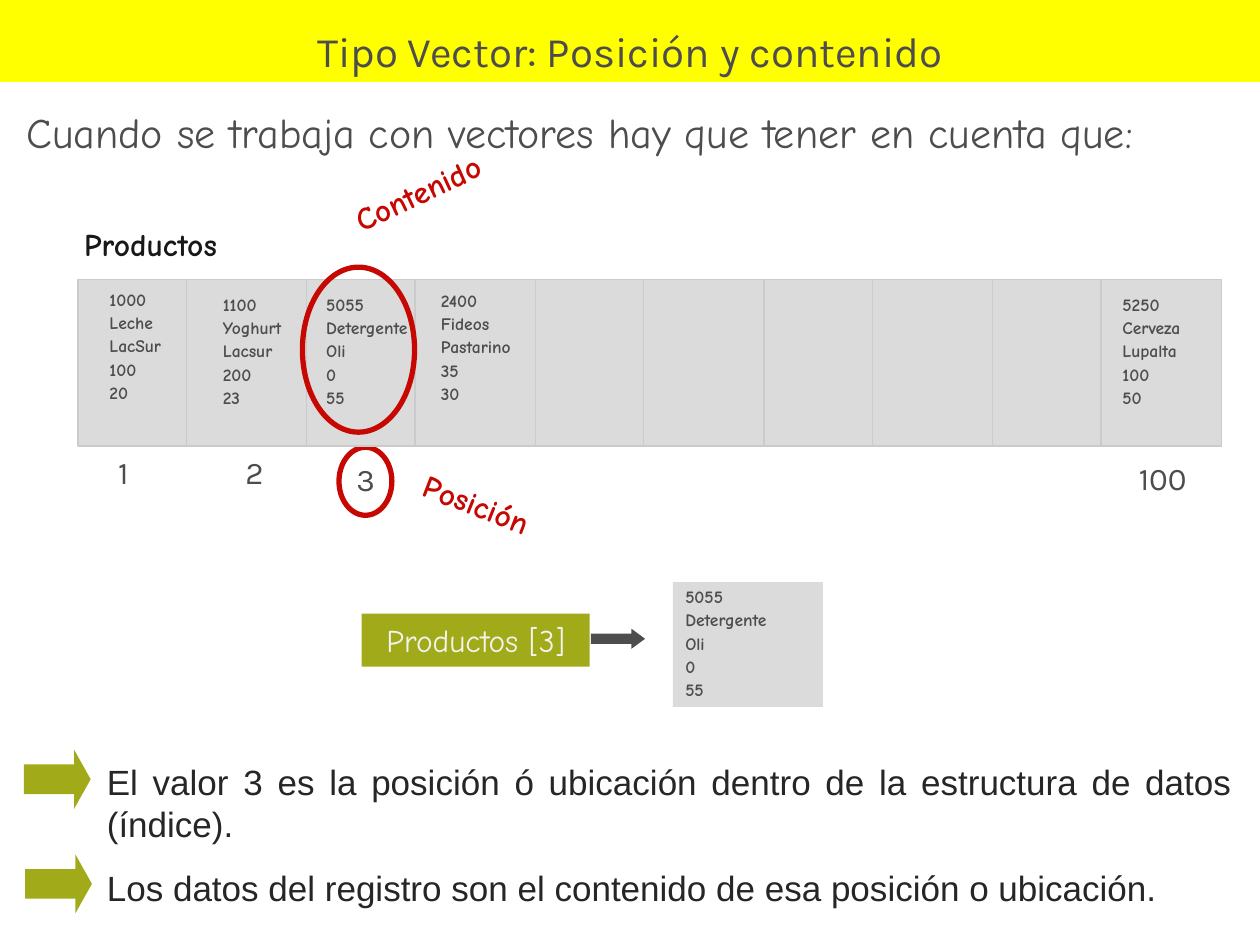
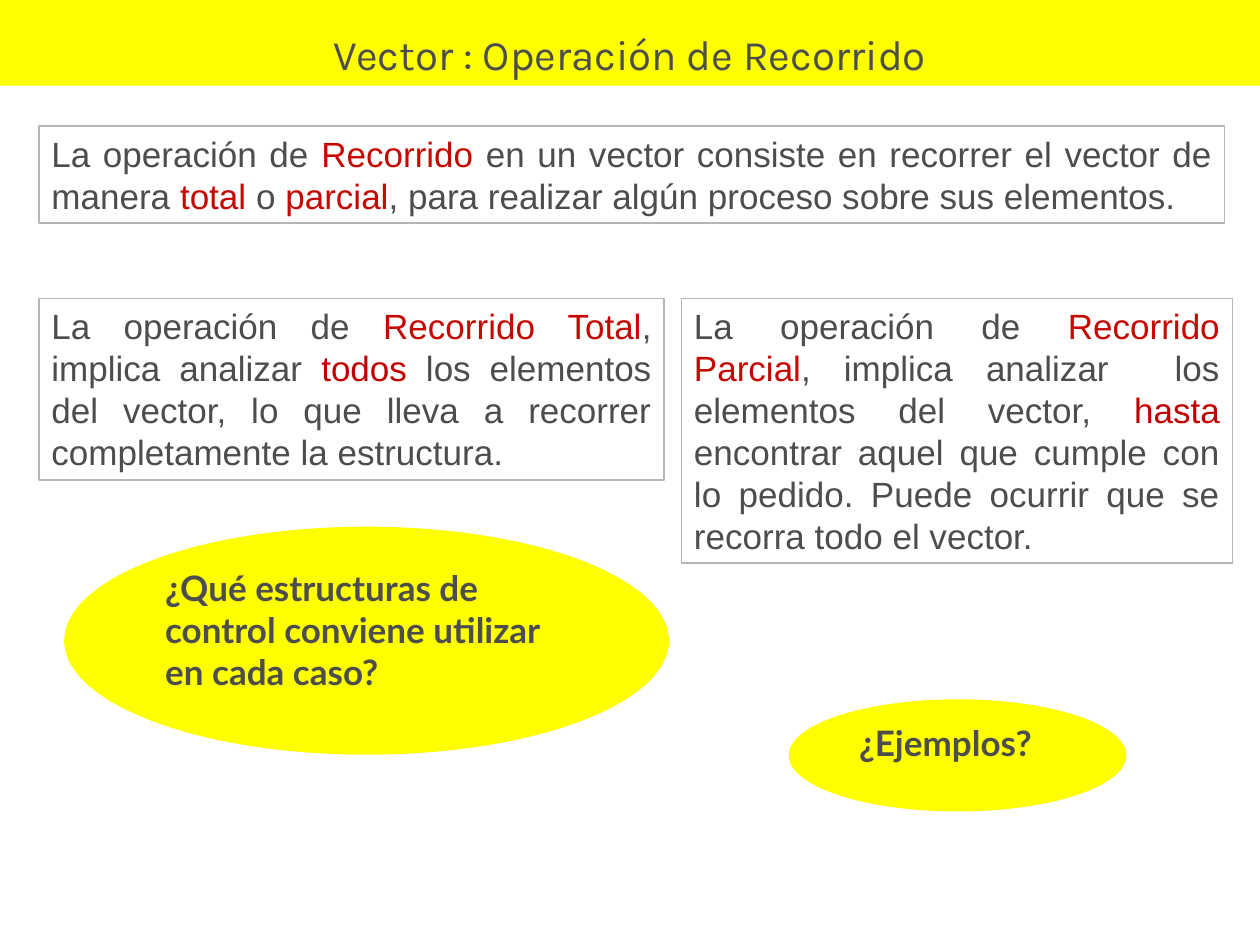
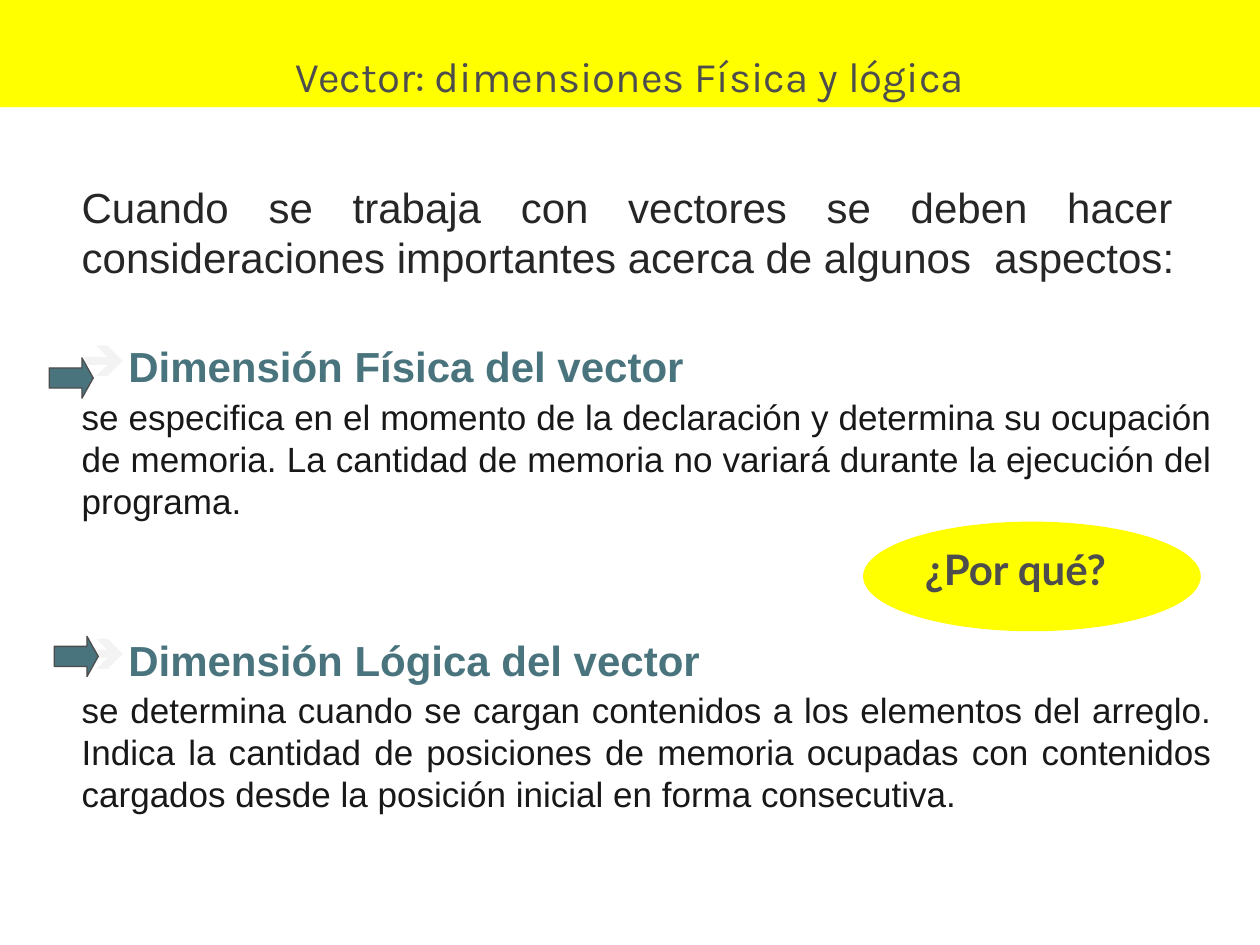
from pptx import Presentation
from pptx.dml.color import RGBColor
from pptx.enum.shapes import MSO_SHAPE
from pptx.enum.text import MSO_ANCHOR, MSO_AUTO_SIZE, PP_ALIGN
from pptx.oxml import parse_xml
from pptx.oxml.ns import nsdecls
from pptx.util import Inches, Pt

RECT, OVAL, ARROW = MSO_SHAPE.RECTANGLE, MSO_SHAPE.OVAL, MSO_SHAPE.RIGHT_ARROW
TOP, MIDDLE, BOTTOM = MSO_ANCHOR.TOP, MSO_ANCHOR.MIDDLE, MSO_ANCHOR.BOTTOM
LEFT, CENTER, JUST = PP_ALIGN.LEFT, PP_ALIGN.CENTER, PP_ALIGN.JUSTIFY
FIXED = MSO_AUTO_SIZE.NONE

YELLOW, GREEN, TEAL = "FFFF00", "A1AB19", "49747D"
GRAY, BLACK, DARK = "4D4D4D", "181818", "262626"
RED, WINE = "C60702", "C00000"
PALE, CELL, EDGE, FRAME = "F3F3F3", "DBDBDB", "CBCBCB", "B6B6B6"
HEAD, BODY, HAND, ASK = "Karla", "Arial", "Comic Neue", "Lato"


def color(code):
    """Turn a hex string into a colour."""
    return RGBColor.from_string(code)


class Deck:
    """Hold the presentation, its style and the current slide."""

    def __init__(self):
        """Start an empty deck of 10 by 7.5 inches."""
        self.prs = Presentation()
        self.prs.slide_width, self.prs.slide_height = Inches(10), Inches(7.5)

    def start(self, title, top, height):
        """Add a slide with its yellow title band."""
        self.slide = self.prs.slides.add_slide(self.prs.slide_layouts[5])
        band = self.slide.shapes.title
        band.left, band.top = Inches(0), Inches(top)
        band.width, band.height = Inches(10), Inches(height)
        band.fill.solid()
        band.fill.fore_color.rgb = color(YELLOW)
        self.frame(band, BOTTOM)
        self.para(band, title, HEAD, 24, align=CENTER)

    def frame(self, item, anchor=TOP, wrap=True):
        """Set how the text sits in an element."""
        box = item.text_frame
        box.auto_size, box.word_wrap = FIXED, wrap
        box.vertical_anchor = anchor

    def para(self, item, runs, font, size, ink=GRAY, bold=False,
             align=LEFT, before=0, lines=1.0):
        """Add a paragraph from a string or from (text, colour) runs."""
        box = item.text_frame
        par = box.paragraphs[0] if not box.text else box.add_paragraph()
        par.alignment, par.line_spacing = align, lines
        par.space_before = Pt(before)
        for text, tint in [(runs, ink)] if isinstance(runs, str) else runs:
            run = par.add_run()
            run.text = text
            run.font.name, run.font.size = font, Pt(size)
            run.font.bold = bold
            run.font.color.rgb = color(tint)
        return par

    def bullet(self, par, sign, ink, indent):
        """Give a paragraph a coloured bullet sign."""
        props = par._p.get_or_add_pPr()
        props.set("marL", str(Inches(indent)))
        props.set("indent", str(-Inches(indent)))
        props.append(parse_xml(
            f'<a:buClr {nsdecls("a")}><a:srgbClr val="{ink}"/></a:buClr>'))
        props.append(parse_xml(f'<a:buChar {nsdecls("a")} char="{sign}"/>'))

    def text(self, x, y, w, h, turn=0):
        """Add an empty wrapping text box."""
        item = self.slide.shapes.add_textbox(
            Inches(x), Inches(y), Inches(w), Inches(h))
        item.rotation = turn
        self.frame(item)
        return item

    def shape(self, kind, x, y, w, h, fill=None, line=None, width=0.75):
        """Add a flat preset shape."""
        item = self.slide.shapes.add_shape(
            kind, Inches(x), Inches(y), Inches(w), Inches(h))
        item.shadow.inherit = False
        if fill:
            item.fill.solid()
            item.fill.fore_color.rgb = color(fill)
        else:
            item.fill.background()
        if line:
            item.line.color.rgb = color(line)
            item.line.width = Pt(width)
        else:
            item.line.fill.background()
        self.frame(item)
        return item

    def arrow(self, x, y, w, h, fill, line=None, tip=0.28):
        """Add a block arrow that points right."""
        item = self.shape(ARROW, x, y, w, h, fill, line)
        item.adjustments[0], item.adjustments[1] = 0.5, tip

    def label(self, text, x, y, w, ink, turn=0):
        """Add a bold handwritten label."""
        self.para(self.text(x, y, w, 0.4, turn), text, HAND, 18, ink, True,
                  before=11.2)

    def record(self, item, fields):
        """Write the fields of a record, one a line."""
        for field in fields:
            self.para(item, field, HAND, 10, bold=True, before=2.5, lines=0.9)

    def note(self, x, y, w, h, runs):
        """Add a framed and justified definition."""
        item = self.shape(RECT, x, y, w, h, line=FRAME)
        self.para(item, runs, BODY, 20, align=JUST)

    def ask(self, x, y, w, h, text, size=20):
        """Add a yellow oval with a question."""
        item = self.shape(OVAL, x, y, w, h, YELLOW)
        self.para(item, text, ASK, size, bold=True)


def vector(deck):
    """Build the slide on position and content."""
    deck.start("Tipo Vector: Posición y contenido", -0.01, 0.66)
    deck.para(deck.text(0, 0.8, 9.73, 0.5),
              " Cuando se trabaja con vectores hay que tener en cuenta que:",
              HAND, 24, align=JUST, before=6)
    facts = deck.text(0.75, 5.99, 9.13, 1.28)
    for fact in (
            "El valor 3 es la posición ó ubicación dentro de la estructura "
            "de datos (índice).",
            "Los datos del registro son el contenido de esa posición o "
            "ubicación."):
        deck.para(facts, fact, BODY, 20, DARK, align=JUST, before=12.5)
    for x, y in ((0.2, 6.78), (0.19, 5.95)):
        deck.arrow(x, y, 0.53, 0.47, GREEN)

    deck.shape(OVAL, 2.69, 3.55, 0.42, 0.54, line=RED, width=3)
    deck.label("Productos", 0.57, 1.74, 1.53, BLACK)
    left = 0.62
    for cell in range(10):
        width = 0.955 if cell % 2 else 0.86
        deck.shape(RECT, left, 2.22, width, 1.32, CELL, EDGE)
        left += width
    soap = ("5055", "Detergente", "Oli", "0", "55")
    for x, y, w, fields in (
            (0.77, 2.26, 1.19, ("1000", "Leche", "LacSur", "100", "20")),
            (1.67, 2.3, 1.12, ("1100", "Yoghurt", "Lacsur", "200", "23")),
            (2.49, 2.3, 1.19, soap),
            (3.4, 2.27, 1.4, ("2400", "Fideos", "Pastarino", "35", "30")),
            (8.81, 2.3, 1.19, ("5250", "Cerveza", "Lupalta", "100", "50"))):
        deck.record(deck.text(x, y, w, 0.99), fields)

    call = deck.shape(RECT, 2.87, 4.87, 1.81, 0.42, GREEN)
    deck.frame(call, MIDDLE, False)
    deck.para(call, "Productos [3]", HAND, 18, PALE, align=CENTER)
    deck.arrow(4.69, 4.99, 0.43, 0.16, GRAY, tip=0.68)
    deck.record(deck.shape(RECT, 5.34, 4.62, 1.19, 0.99, CELL), soap)

    deck.label("Contenido", 2.67, 1.27, 1.54, RED, 334.6)
    deck.shape(OVAL, 2.4, 2.12, 0.89, 1.31, line=RED, width=3)
    deck.label("Posición", 3.24, 3.82, 1.18, RED, 21.1)
    for place, x, y, w in (("3", 2.73, 3.6, 0.53), ("1", 0.84, 3.55, 0.53),
                           ("2", 1.85, 3.55, 0.53), ("100", 8.94, 3.59, 0.7)):
        deck.para(deck.text(x, y, w, 0.4), place, HEAD, 18)


def travel(deck):
    """Build the slide on traversal."""
    deck.start("Vector : Operación de Recorrido", 0, 0.68)
    deck.note(0.31, 1, 9.41, 0.77, (
        ("La operación de ", GRAY), ("Recorrido", RED),
        (" en un vector consiste en recorrer el vector de manera ", GRAY),
        ("total", RED), (" o ", GRAY), ("parcial", RED),
        (", para realizar algún proceso sobre sus elementos.", GRAY)))
    deck.note(0.31, 2.37, 4.96, 1.44, (
        ("La operación de ", GRAY), ("Recorrido Total", RED),
        (", implica analizar ", GRAY), ("todos", WINE),
        (" los elementos del vector, lo que lleva a recorrer "
         "completamente la estructura.", GRAY)))
    deck.note(5.41, 2.37, 4.37, 2.1, (
        ("La operación de ", GRAY), ("Recorrido Parcial", RED),
        (", implica analizar  los elementos del vector, ", GRAY),
        ("hasta", WINE),
        (" encontrar aquel que cumple con lo pedido. Puede ocurrir que se "
         "recorra todo el vector.", GRAY)))
    deck.ask(0.51, 4.18, 4.8, 1.81,
             "¿Qué estructuras de control conviene utilizar en cada caso?")
    deck.ask(6.26, 5.55, 2.68, 0.89, " ¿Ejemplos?")


def sizes(deck):
    """Build the slide on physical and logical size."""
    deck.start("Vector: dimensiones Física y lógica", -0.07, 0.92)
    body = deck.text(0.55, 1.39, 9.17, 5.18)
    deck.para(body,
              "Cuando se trabaja con vectores se deben hacer  "
              "consideraciones importantes acerca de algunos  aspectos:",
              BODY, 24, DARK, align=JUST, before=3)
    for head, gap, text in (
            ("Dimensión Física del vector", 33.6,
             "se especifica en el momento de la declaración y determina su "
             "ocupación de memoria. La cantidad de memoria no variará "
             "durante la ejecución del programa."),
            ("Dimensión Lógica del vector", 64.2,
             "se determina cuando se cargan contenidos a los elementos del "
             "arreglo. Indica la cantidad de posiciones de memoria ocupadas "
             "con contenidos cargados desde la posición inicial en forma "
             "consecutiva.")):
        par = deck.para(body, head, BODY, 24, TEAL, True, JUST, gap)
        deck.bullet(par, "➔", PALE, 0.37)
        deck.para(body, text, BODY, 20, BLACK, align=JUST, before=2.5)
    deck.ask(6.85, 4.14, 2.68, 0.87, "¿Por qué?", 24)
    for x, y in ((0.39, 2.84), (0.43, 5.05)):
        deck.arrow(x, y, 0.35, 0.32, TEAL, GRAY)


def main():
    """Build and save the deck."""
    deck = Deck()
    for build in (vector, travel, sizes):
        build(deck)
    deck.prs.save("out.pptx")


if __name__ == "__main__":
    main()
